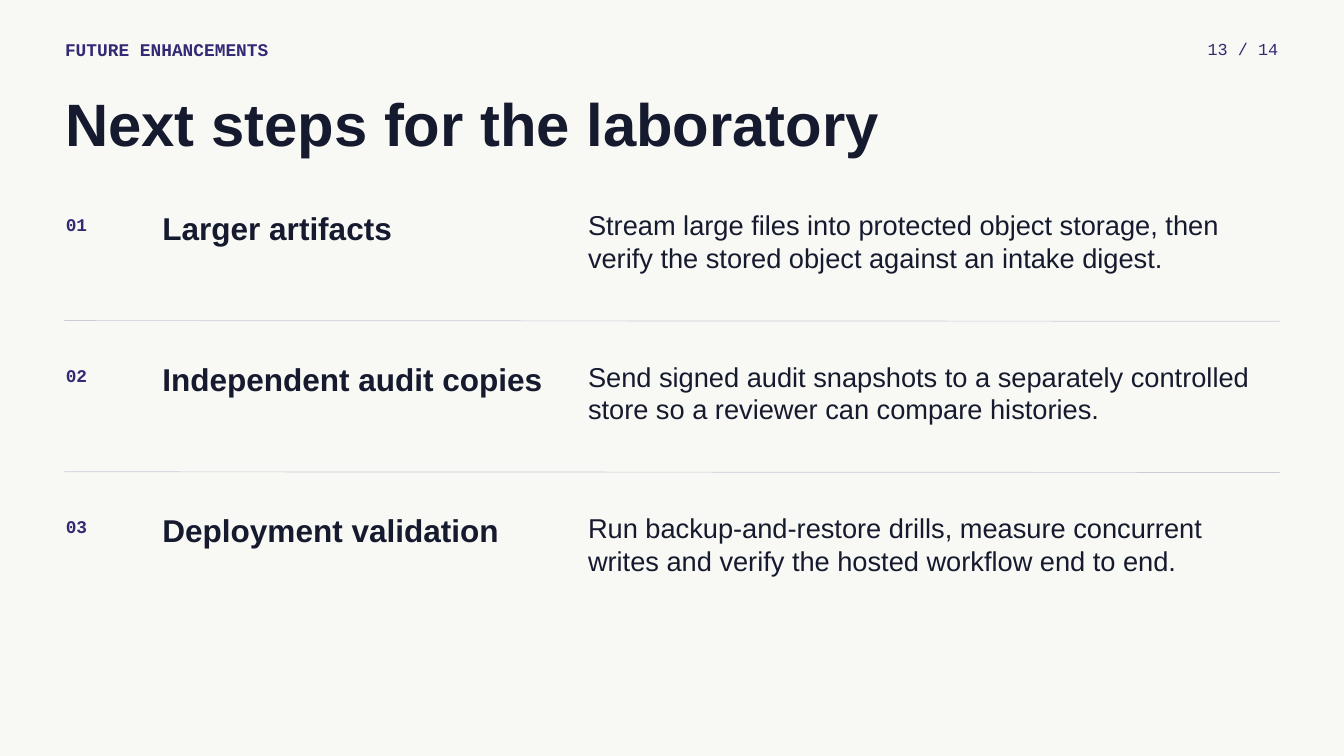
from lxml.etree import SubElement
from pptx import Presentation
from pptx.dml.color import RGBColor
from pptx.enum.shapes import MSO_CONNECTOR
from pptx.enum.text import MSO_AUTO_SIZE, PP_ALIGN
from pptx.oxml.ns import qn
from pptx.util import Emu, Pt

EMU_PER_PX = 9525
PAPER = RGBColor(0xF8, 0xF8, 0xF4)
INK = RGBColor(0x16, 0x1A, 0x2E)
INDIGO = RGBColor(0x33, 0x2A, 0x75)
RULE = RGBColor(0xCB, 0xCC, 0xD9)
SANS, MONO = "Arial", "Courier New"

ROW_TOP, ROW_PITCH = 298, 216
STEPS = [
    ("Larger artifacts",
     "Stream large files into protected object storage, then verify the "
     "stored object against an intake digest."),
    ("Independent audit copies",
     "Send signed audit snapshots to a separately controlled store so a "
     "reviewer can compare histories."),
    ("Deployment validation",
     "Run backup-and-restore drills, measure concurrent writes and verify "
     "the hosted workflow end to end."),
]


def px(length):
    return Emu(length * EMU_PER_PX)


class SlideBuilder:
    # Each style: font, size, line spacing, colour, bold
    STYLES = {
        "label": (MONO, 19.1, 22.9, INDIGO, True),
        "page": (MONO, 18, 21.6, INDIGO, False),
        "title": (SANS, 64.1, 77, INK, True),
        "heading": (SANS, 33.8, 40.5, INK, True),
        "body": (SANS, 29.2, 35.1, INK, False),
    }

    def __init__(self, page):
        self.page = page
        fill = page.background.fill
        fill.solid()
        fill.fore_color.rgb = PAPER

    def text(self, words, style, left, top, width, height, align=PP_ALIGN.LEFT):
        box = self.page.shapes.add_textbox(px(left), px(top), px(width), px(height))
        frame = box.text_frame
        frame.margin_left = frame.margin_right = 0
        frame.margin_top = frame.margin_bottom = 0
        frame.word_wrap = True
        frame.auto_size = MSO_AUTO_SIZE.SHAPE_TO_FIT_TEXT
        frame.text = words
        para = frame.paragraphs[0]
        para.alignment = align
        name, size, spacing, colour, bold = self.STYLES[style]
        para.line_spacing = Pt(spacing)
        font = para.runs[0].font
        font.name, font.size, font.bold = name, Pt(size), bold
        font.color.rgb = colour

    def rule(self, left, top, right, bottom):
        line = self.page.shapes.add_connector(
            MSO_CONNECTOR.STRAIGHT, px(left), px(top), px(right), px(bottom))
        line.line.color.rgb = RULE
        line.line.width = Pt(0.75)
        SubElement(line._element.spPr, qn("a:effectLst"))


def main():
    deck = Presentation()
    deck.slide_width, deck.slide_height = px(1920), px(1080)
    slide = SlideBuilder(deck.slides.add_slide(deck.slide_layouts[6]))

    # Header
    slide.text("FUTURE ENHANCEMENTS", "label", 93, 55, 1545, 41)
    slide.text("13 / 14", "page", 1685, 55, 141, 38, PP_ALIGN.RIGHT)
    slide.text("Next steps for the laboratory", "title", 93, 124, 1770, 124)

    # Numbered steps, with a rule between neighbours
    for index, (heading, body) in enumerate(STEPS):
        top = ROW_TOP + index * ROW_PITCH
        slide.text(f"{index + 1:02}", "label", 94, top + 7, 120, 41)
        slide.text(heading, "heading", 232, top, 587, 152)
        slide.text(body, "body", 840, top, 954, 172)
        if index < len(STEPS) - 1:
            slide.rule(92, top + 160, 1828, top + 161)

    deck.save("out.pptx")


if __name__ == "__main__":
    main()
